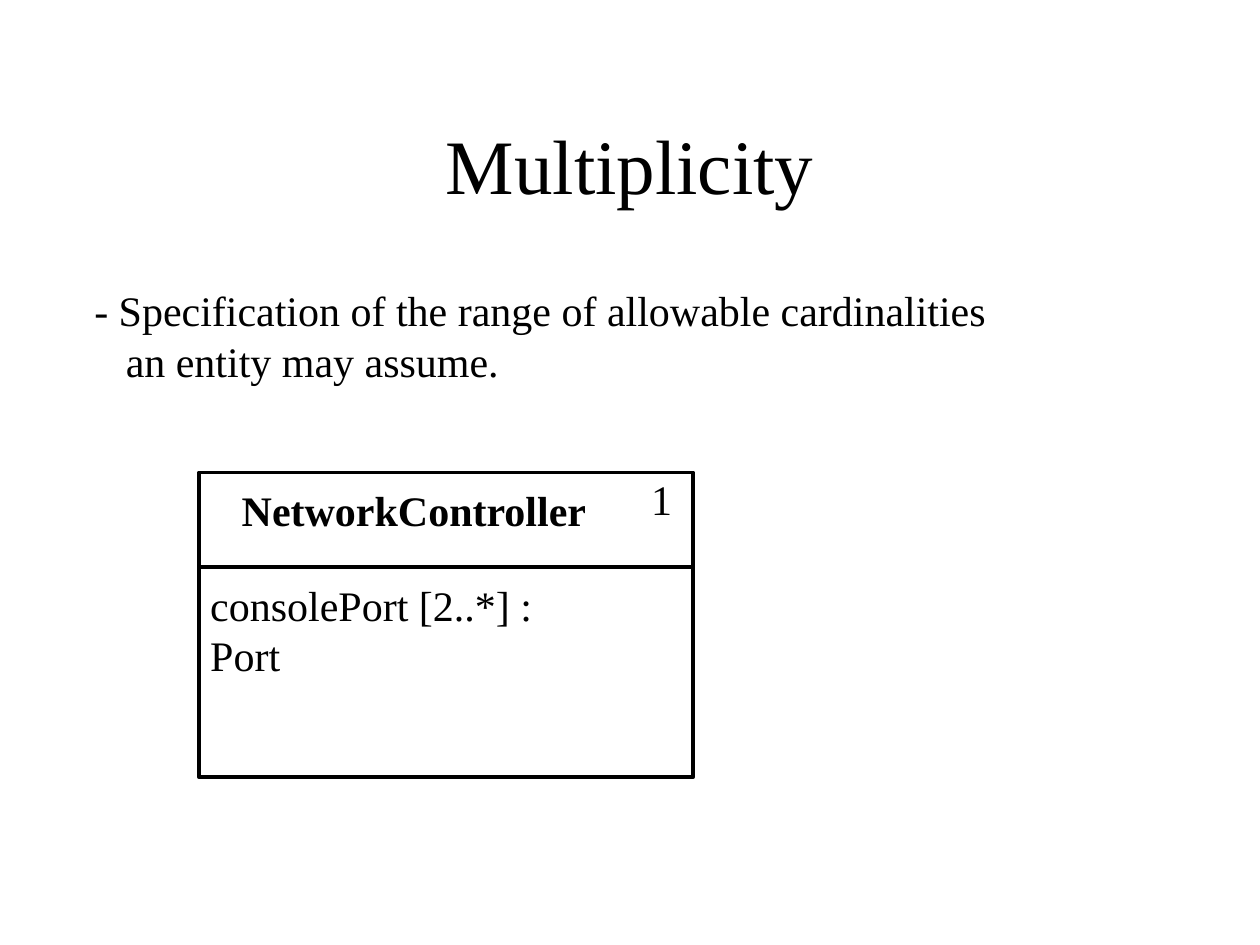
from dataclasses import dataclass

from lxml import etree
from pptx import Presentation
from pptx.dml.color import RGBColor
from pptx.enum.shapes import MSO_CONNECTOR, MSO_SHAPE
from pptx.enum.text import MSO_ANCHOR, PP_ALIGN
from pptx.oxml.ns import qn
from pptx.util import Inches, Pt

LEFT, CENTER = PP_ALIGN.LEFT, PP_ALIGN.CENTER
TOP, MIDDLE = MSO_ANCHOR.TOP, MSO_ANCHOR.MIDDLE
RECT, STRAIGHT = MSO_SHAPE.RECTANGLE, MSO_CONNECTOR.STRAIGHT


@dataclass(frozen=True)
class Theme:
    """Colours, font and sizes of the slide."""
    ink: RGBColor = RGBColor(0, 0, 0)
    paper: RGBColor = RGBColor(255, 255, 255)
    font: str = "Times New Roman"
    title: Pt = Pt(44)
    body: Pt = Pt(24)
    line: Pt = Pt(2.25)


THEME = Theme()


def add_text(slide, box, lines, size=THEME.body, bold=False, wrap=False,
             align=LEFT, anchor=TOP):
    """Add a text box with one paragraph per (text, indent) pair."""
    frame = slide.shapes.add_textbox(*map(Inches, box)).text_frame
    frame.word_wrap = wrap
    frame.vertical_anchor = anchor
    for i, (text, indent) in enumerate(lines):
        para = frame.add_paragraph() if i else frame.paragraphs[0]
        para.alignment = align
        if indent:
            para._p.get_or_add_pPr().set("marL", str(Inches(indent)))
        run = para.add_run()
        run.text = text
        run.font.name = THEME.font
        run.font.size = size
        run.font.bold = bold
        run.font.color.rgb = THEME.ink


def add_title(slide, box, text):
    """Add the centred slide title."""
    add_text(slide, box, [(text, 0)], THEME.title, wrap=True,
             align=CENTER, anchor=MIDDLE)


def add_note(slide, box, first, rest):
    """Add a dashed statement whose second line is indented."""
    add_text(slide, box, [(first, 0), (rest, 0.25)])


def add_class(slide, box, name, count, field):
    """Add a UML class with its name, multiplicity and attribute."""
    left, top, width, height = box
    frame = slide.shapes.add_shape(RECT, *map(Inches, box))
    frame.shadow.inherit = False
    frame.fill.background()
    split = top + 0.75
    rule = slide.shapes.add_connector(
        STRAIGHT, *map(Inches, (left, split, left + width, split)))
    etree.SubElement(rule._element.spPr, qn("a:effectLst"))
    for part in (frame, rule):
        part.line.color.rgb = THEME.ink
        part.line.width = THEME.line
    add_text(slide, (left + 0.24, top + 0.05, 2.94, 0.5), [(name, 0)],
             bold=True)
    add_text(slide, (left + width - 0.43, top - 0.04, 0.36, 0.5),
             [(count, 0)])
    add_text(slide, (left - 0.01, split + 0.05, 3.39, 0.5), [(field, 0)])


def main():
    """Build and save the slide."""
    deck = Presentation()
    deck.slide_width, deck.slide_height = Inches(10), Inches(7.5)
    slide = deck.slides.add_slide(deck.slide_layouts[6])
    fill = slide.background.fill
    fill.solid()
    fill.fore_color.rgb = THEME.paper
    add_title(slide, (0.75, 0.67, 8.5, 1.25), "Multiplicity")
    add_note(slide, (0.65, 2.21, 7.36, 0.9),
             "- Specification of the range of allowable cardinalities",
             "an entity may assume.")
    add_class(slide, (1.58, 3.75, 3.92, 2.42), "NetworkController", "1",
              "consolePort [2..*] : Port")
    deck.save("out.pptx")


if __name__ == "__main__":
    main()
